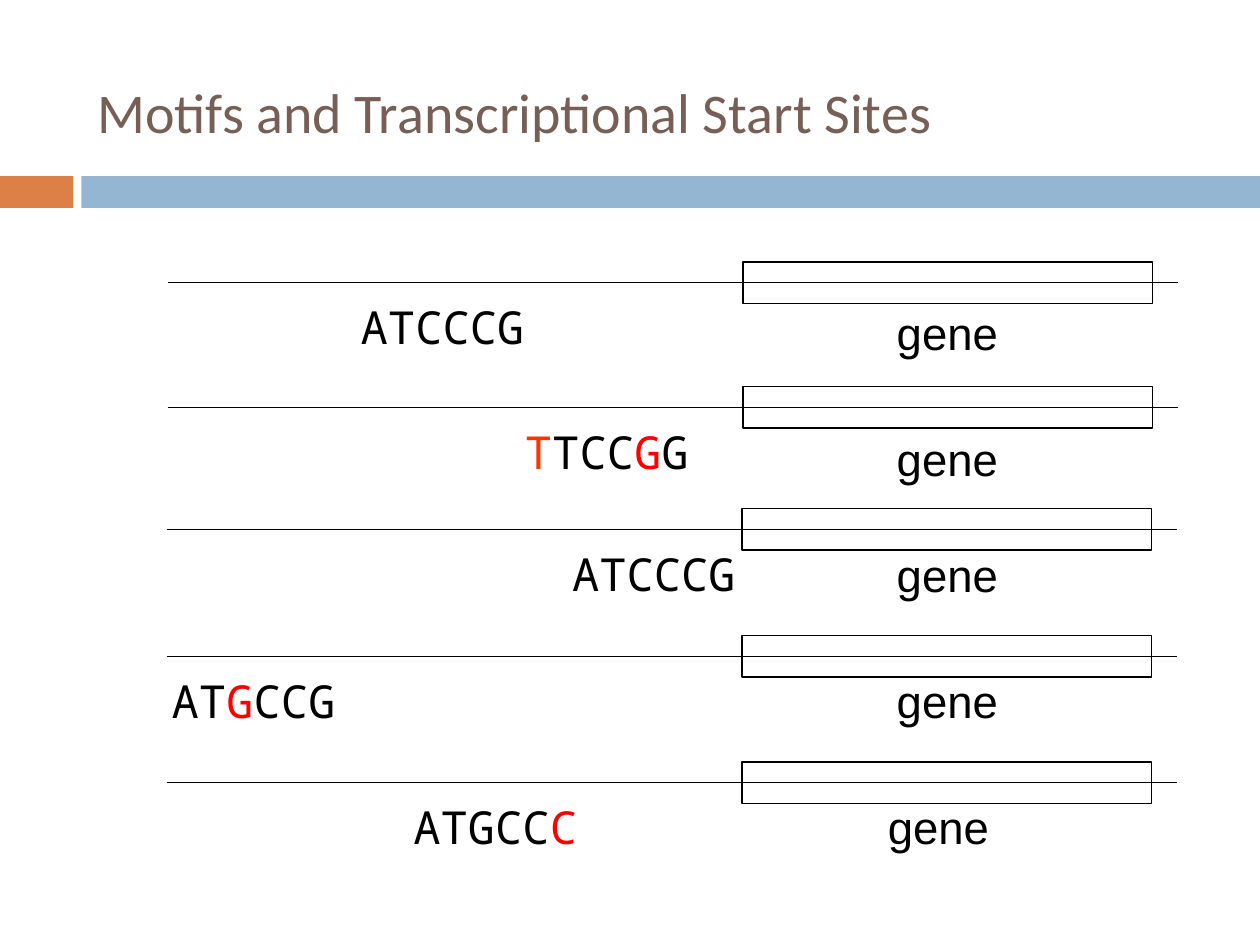
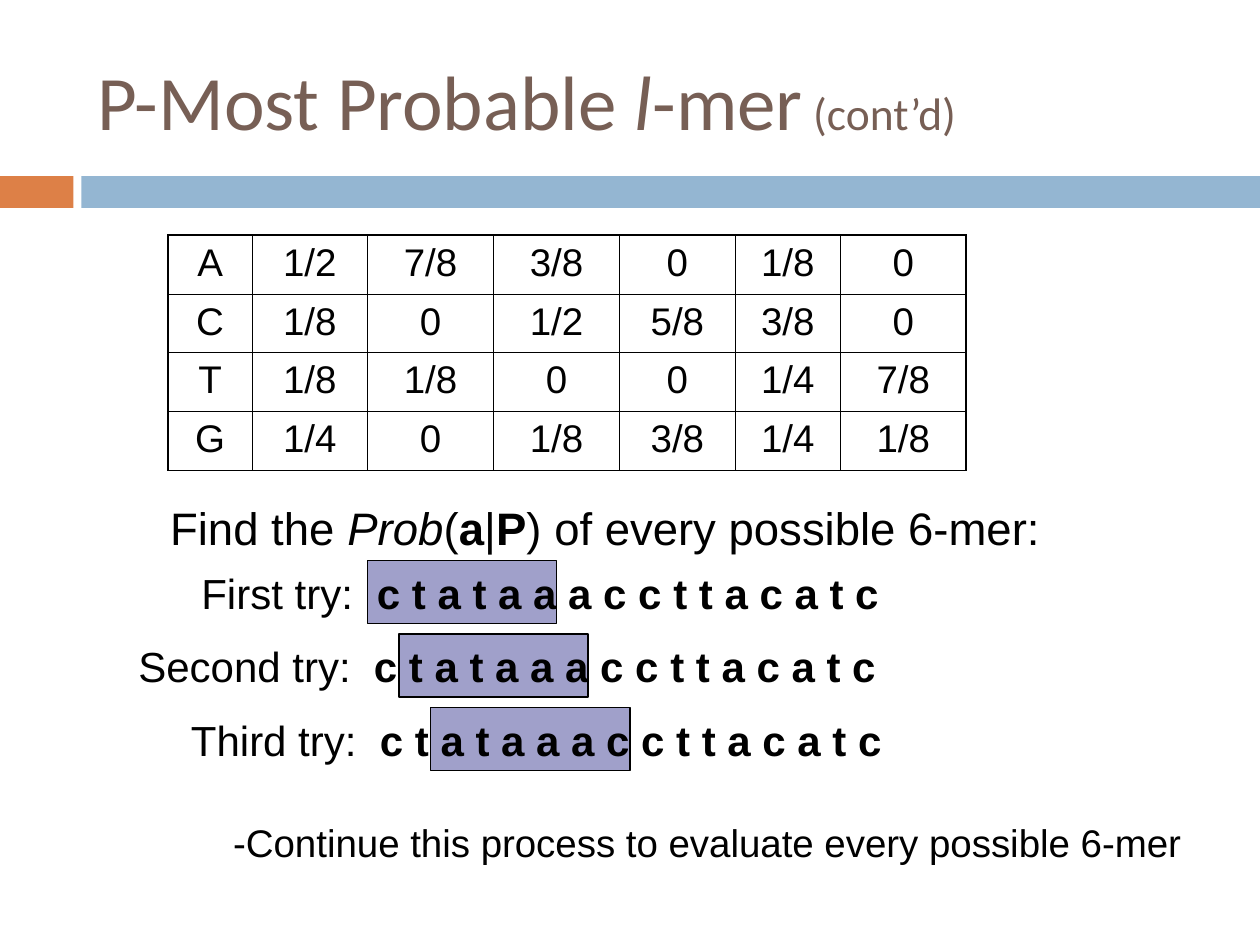
from pptx import Presentation
from pptx.dml.color import RGBColor as Rgb
from pptx.enum.shapes import MSO_CONNECTOR as Link, MSO_SHAPE as Form
from pptx.enum.text import MSO_ANCHOR as Anchor, MSO_AUTO_SIZE as Auto, PP_ALIGN as Align
from pptx.oxml.ns import qn
from pptx.util import Cm, Pt
from lxml.etree import SubElement as Sub

HUES = {
    "ink": "000000",
    "title": "775F55",
    "rust": "DD8047",
    "sky": "94B6D2",
    "lilac": "A0A0CA",
    "red": "FF0000",
    "flame": "FF3300",
}
BOLD, SLANT = {"bold": True}, {"slant": True}


def hue(name):
    return Rgb.from_string(HUES[name])


class Deck:
    sans, head, mono = "Arial", "Calibri", "Noto Sans Mono"
    thin, rim, grid = 0.75, 1.08, 0.45

    def __init__(self):
        self.prs = Presentation()
        self.prs.slide_width, self.prs.slide_height = Cm(25.4), Cm(19.05)

    def page(self, runs, top, size):
        self.slide = self.prs.slides.add_slide(self.prs.slide_layouts[6])
        self.rect(0, 3.55, 1.48, 0.64, "rust")
        self.rect(1.64, 3.55, 23.76, 0.64, "sky")
        box = self.text(1.71, top, 22.66, 2.74, runs, size, self.head, "title")
        box.vertical_anchor = Anchor.MIDDLE

    def rect(self, x, y, w, h, fill=None, line=None):
        box = self.slide.shapes.add_shape(Form.RECTANGLE, Cm(x), Cm(y), Cm(w), Cm(h))
        box.shadow.inherit = False
        if fill:
            box.fill.solid()
            box.fill.fore_color.rgb = hue(fill)
        else:
            box.fill.background()
        if line:
            box.line.color.rgb = hue(line)
            box.line.width = Pt(self.thin)
        else:
            box.line.fill.background()

    def line(self, x, y, end):
        rule = self.slide.shapes.add_connector(Link.STRAIGHT, Cm(x), Cm(y), Cm(end), Cm(y))
        rule.line.color.rgb = hue("ink")
        rule.line.width = Pt(self.thin)
        Sub(rule._element.spPr, qn("a:effectLst"))

    def fill(self, para, runs, size, font, tone="ink"):
        for words, look in runs:
            run = para.add_run()
            run.text = words
            face = run.font
            face.name = font
            face.size = Pt(look.get("size", size))
            face.bold = look.get("bold", False)
            face.italic = look.get("slant", False)
            face.color.rgb = hue(look.get("tone", tone))

    def text(self, x, y, w, h, runs, size, font=sans, tone="ink", mid=False, tab=None):
        frame = self.slide.shapes.add_textbox(Cm(x), Cm(y), Cm(w), Cm(h)).text_frame
        frame.word_wrap = not mid
        para = frame.paragraphs[0]
        para.alignment = Align.CENTER if mid else Align.LEFT
        if mid:
            frame.auto_size = Auto.SHAPE_TO_FIT_TEXT
        if tab:
            stops = Sub(para._p.get_or_add_pPr(), qn("a:tabLst"))
            Sub(stops, qn("a:tab"), pos=str(Cm(tab)), algn="l")
        self.fill(para, runs, size, font, tone)
        return frame

    def edge(self, cell, side, width):
        line = Sub(cell._tc.get_or_add_tcPr(), qn("a:ln" + side), w=str(Pt(width)))
        Sub(Sub(line, qn("a:solidFill")), qn("a:srgbClr"), val=HUES["ink"])

    def table(self, x, y, cols, high, rows, size):
        last, end = len(rows) - 1, len(cols) - 1
        table = self.slide.shapes.add_table(
            len(rows), len(cols), Cm(x), Cm(y), Cm(sum(cols)), Cm(high * len(rows))
        ).table
        table.first_row = table.horz_banding = False
        for col, wide in zip(table.columns, cols):
            col.width = Cm(wide)
        for r, row in enumerate(rows):
            table.rows[r].height = Cm(high)
            for c, words in enumerate(row):
                cell = table.cell(r, c)
                outer = {"L": c == 0, "R": c == end, "T": r == 0, "B": r == last}
                for side, out in outer.items():
                    self.edge(cell, side, self.rim if out else self.grid)
                cell.fill.background()
                para = cell.text_frame.paragraphs[0]
                para.alignment = Align.CENTER
                self.fill(para, [(words, {})], size, self.sans)


def sites(deck):
    deck.page([("Motifs and Transcriptional Start Sites", {})], 0.87, 32)
    red, flame = {"tone": "red"}, {"tone": "flame"}
    same = [("ATCCCG", {})]
    rows = [
        (3.38, 5.7, 6.92, same, 17.73, 6.02),
        (3.38, 8.21, 10.23, [("T", flame), ("TCC", {}), ("G", red), ("G", {})], 17.73, 8.56),
        (3.36, 10.67, 11.18, same, 17.73, 10.9),
        (3.36, 13.23, 3.11, [("AT", {}), ("G", red), ("CCG", {})], 17.73, 13.44),
        (3.36, 15.78, 7.98, [("ATGCC", {}), ("C", red)], 17.55, 15.98),
    ]
    for start, y, left, motif, side, top in rows:
        deck.line(start, y, start + 20.37)
        deck.rect(start + 11.6, y - 0.42, 8.26, 0.84, line="ink")
        deck.text(side, top, 2.74, 1.37, [("gene", {})], 26, mid=True)
        deck.text(left, y + 0.21, 4.01, 1.37, motif, 26, deck.mono, mid=True)


def tries(deck):
    small = {"size": 26}
    deck.page([("P-Most Probable ", {}), ("l", SLANT), ("-mer", {}), (" (cont’d)", small)], 0.64, 44)
    rows = [
        "A 1/2 7/8 3/8 0 1/8 0",
        "C 1/8 0 1/2 5/8 3/8 0",
        "T 1/8 1/8 0 0 1/4 7/8",
        "G 1/4 0 1/8 3/8 1/4 1/8",
    ]
    cols = [1.69, 2.33, 2.54, 2.54, 2.33, 2.12, 2.54]
    deck.table(3.39, 4.74, cols, 1.18, [row.split() for row in rows], 22)
    ask = [
        ("Find the ", {}), ("Prob", SLANT), ("(", {}), ("a", BOLD), ("|", {}),
        ("P", BOLD), (") of every possible 6-mer:", {}),
    ]
    deck.text(3.18, 9.95, 19.69, 1.37, ask, 26)
    steps = [("First", 3.81, 3.54, 3.81), ("Second", 2.54, 4.75, 3.81), ("Third", 3.6, 3.81, 4.02)]
    for n, (name, left, tab, wide) in enumerate(steps):
        top = 11.3 + 1.48 * n
        deck.rect(7.41 + 0.635 * n, top, wide, 1.27, "lilac", "ink")
        runs = [(f"{name} try:\t", {}), (" ".join("ctataaaccttacatc"), BOLD)]
        deck.text(left, top + 0.01, 16.3, 1.27, runs, 24, tab=tab)
    deck.text(4.45, 16.38, 20.11, 1.19, [("-Continue this process to evaluate every possible 6-mer", {})], 22)


def main():
    deck = Deck()
    sites(deck)
    tries(deck)
    deck.prs.save("out.pptx")


if __name__ == "__main__":
    main()
